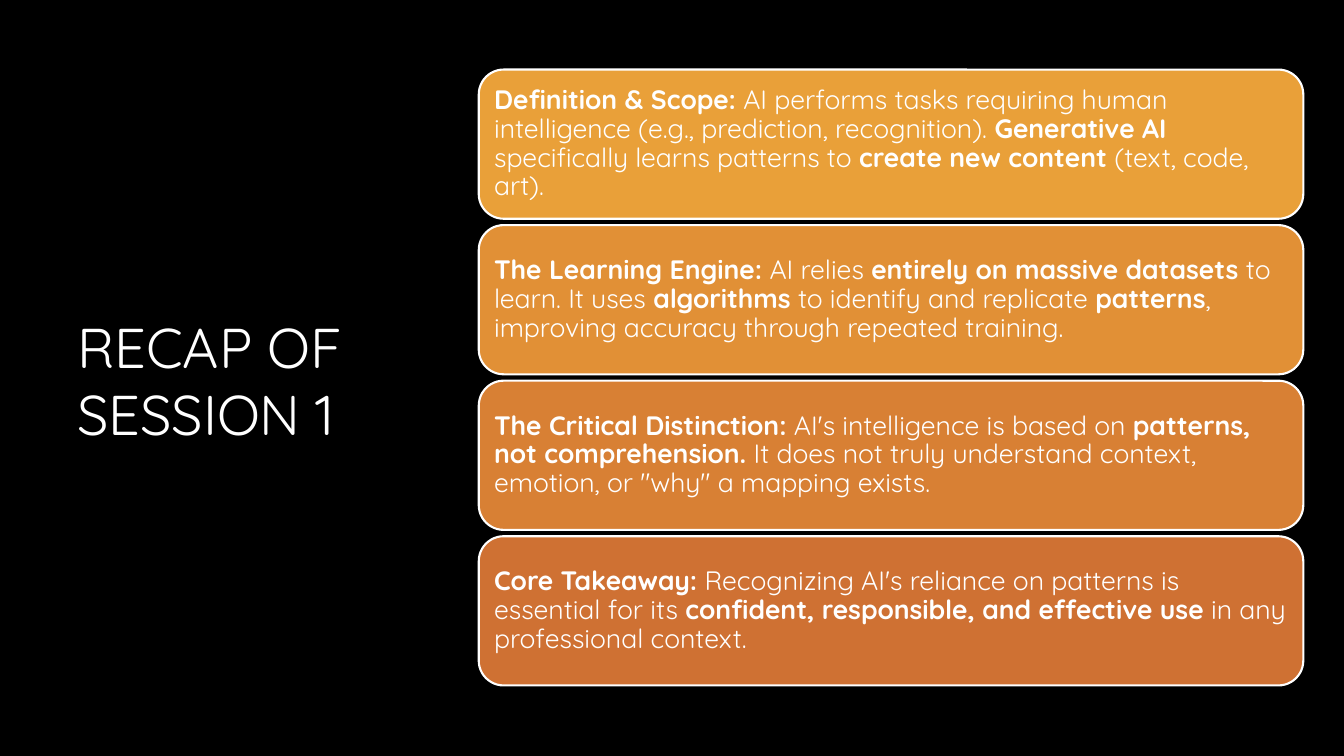
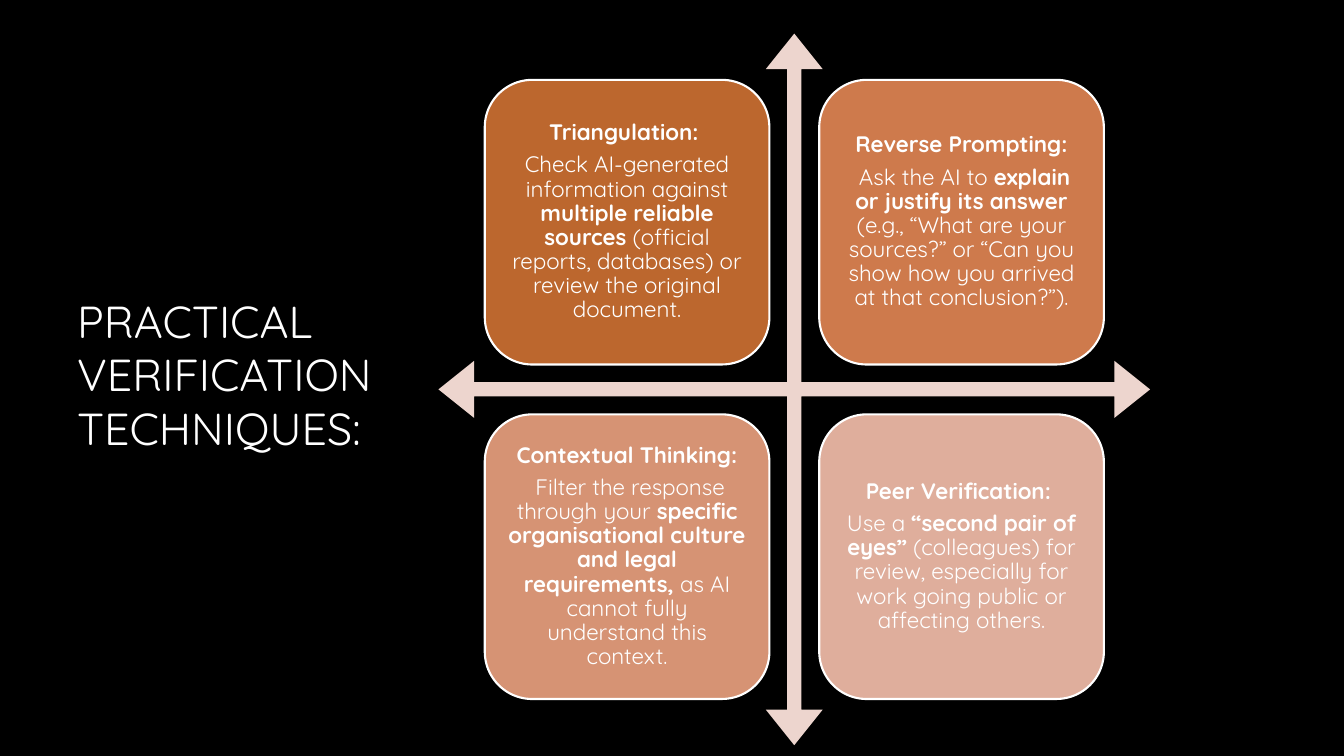
from pptx import Presentation
from pptx.dml.color import RGBColor
from pptx.enum.shapes import MSO_SHAPE
from pptx.enum.text import MSO_ANCHOR, PP_ALIGN
from pptx.util import Inches, Pt

ROUNDED = MSO_SHAPE.ROUNDED_RECTANGLE
QUAD_ARROW = MSO_SHAPE.QUAD_ARROW
MIDDLE = MSO_ANCHOR.MIDDLE
LEFT = PP_ALIGN.LEFT
CENTER = PP_ALIGN.CENTER

RECAP = [
    ("E9A039", "**Definition & Scope:** AI performs tasks requiring human intelligence "
     "(e.g., prediction, recognition). **Generative AI** specifically learns patterns to "
     "**create new content** (text, code, art)."),
    ("E19036", "**The Learning Engine:** AI relies **entirely on massive datasets** to learn. "
     "It uses **algorithms** to identify and replicate **patterns**, improving accuracy "
     "through repeated training."),
    ("D88034", "**The Critical Distinction:** AI's intelligence is based on "
     "**patterns, not comprehension.** It does not truly understand context, emotion, "
     "or \"why\" a mapping exists."),
    ("CF7133", "**Core Takeaway:** Recognizing AI's reliance on patterns is essential for its "
     "**confident, responsible, and effective use** in any professional context."),
]

TECHNIQUES = [
    ("BC672E", "**Triangulation: **",
     "Check AI-generated information against **multiple reliable sources** "
     "(official reports, databases) or review the original document."),
    ("CE7A4C", "**Reverse Prompting:**",
     " Ask the AI to **explain or justify its answer** (e.g., “What are your sources?” "
     "or “Can you show how you arrived at that conclusion?”)."),
    ("D69374", "**Contextual Thinking:**",
     " Filter the response through your **specific organisational culture and legal "
     "requirements,** as AI cannot fully understand this context."),
    ("DFAE9C", "**Peer Verification: **",
     "Use a **“second pair of eyes”** (colleagues) for review, especially for work "
     "going public or affecting others."),
]


def color(value):
    return RGBColor.from_string(value)


class Deck:
    FONT = "Quicksand"
    BACKGROUND = "000000"
    FOREGROUND = "FFFFFF"
    ARROW = "EDD5CE"
    COLUMNS, ROWS = 80, 45
    MARGIN = 4

    def __init__(self):
        self.presentation = Presentation()
        self.presentation.slide_width = Inches(13.33)
        self.presentation.slide_height = Inches(7.5)
        fill = self.presentation.slide_master.background.fill
        fill.solid()
        fill.fore_color.rgb = color(self.BACKGROUND)
        self.slide = None

    def add_slide(self):
        self.slide = self.presentation.slides.add_slide(self.presentation.slide_layouts[6])

    def place(self, left, top, width, height):
        column = self.presentation.slide_width / self.COLUMNS
        row = self.presentation.slide_height / self.ROWS
        return [round(value) for value in
                (left * column, top * row, width * column, height * row)]

    def style(self, paragraph, size, alignment):
        paragraph.alignment = alignment
        paragraph.font.name = self.FONT
        paragraph.font.size = Pt(size)
        paragraph.font.color.rgb = color(self.FOREGROUND)

    def title(self, text, size, top, width, height):
        shape = self.slide.shapes.add_textbox(*self.place(self.MARGIN, top, width, height))
        frame = shape.text_frame
        frame.word_wrap = True
        frame.vertical_anchor = MIDDLE
        frame.text = text
        self.style(frame.paragraphs[0], size, LEFT)

    def shape(self, kind, box, fill):
        shape = self.slide.shapes.add_shape(kind, *self.place(*box))
        shape.shadow.inherit = False
        shape.fill.solid()
        shape.fill.fore_color.rgb = color(fill)
        return shape

    def quad_arrow(self, box):
        shape = self.shape(QUAD_ARROW, box, self.ARROW)
        shape.line.fill.background()
        for index, share in enumerate((0.02, 0.04, 0.05)):
            shape.adjustments[index] = share

    def card(self, box, fill, texts, size, inset, alignment):
        shape = self.shape(ROUNDED, box, fill)
        shape.line.color.rgb = color(self.FOREGROUND)
        shape.line.width = Pt(1.5)
        frame = shape.text_frame
        frame.word_wrap = True
        frame.vertical_anchor = MIDDLE
        frame.margin_left = frame.margin_right = Inches(inset)
        frame.margin_top = frame.margin_bottom = Inches(inset)
        for index, text in enumerate(texts):
            paragraph = frame.add_paragraph() if index else frame.paragraphs[0]
            self.style(paragraph, size, alignment)
            paragraph.line_spacing = 0.9
            paragraph.space_after = Pt(0.35 * size)
            self.runs(paragraph, text)

    def runs(self, paragraph, text):
        for index, part in enumerate(text.split("**")):
            if part:
                run = paragraph.add_run()
                run.text = part
                run.font.bold = index % 2 == 1


def recap_slide(deck):
    deck.add_slide()
    deck.title("RECAP OF SESSION 1", 40, 3.6, 22.92, 38)
    left, top, width, height, pitch = 28.5, 4.14, 49.08, 8.88, 9.26
    for index, (fill, text) in enumerate(RECAP):
        box = (left, top + index * pitch, width, height)
        deck.card(box, fill, [text], 19, 0.08, LEFT)


def techniques_slide(deck):
    deck.add_slide()
    deck.title("PRACTICAL VERIFICATION TECHNIQUES:", 32, 6.6, 19.08, 31.32)
    left, top, side = 26.1, 2, 42.36
    deck.quad_arrow((left, top, side, side))
    offset, tile, pitch = 0.065 * side, 0.4 * side, 0.47 * side
    for index, (fill, *texts) in enumerate(TECHNIQUES):
        row, column = divmod(index, 2)
        box = (left + offset + column * pitch, top + offset + row * pitch, tile, tile)
        deck.card(box, fill, texts, 16, 0.07, CENTER)


def main():
    deck = Deck()
    recap_slide(deck)
    techniques_slide(deck)
    deck.presentation.save("out.pptx")


if __name__ == "__main__":
    main()
